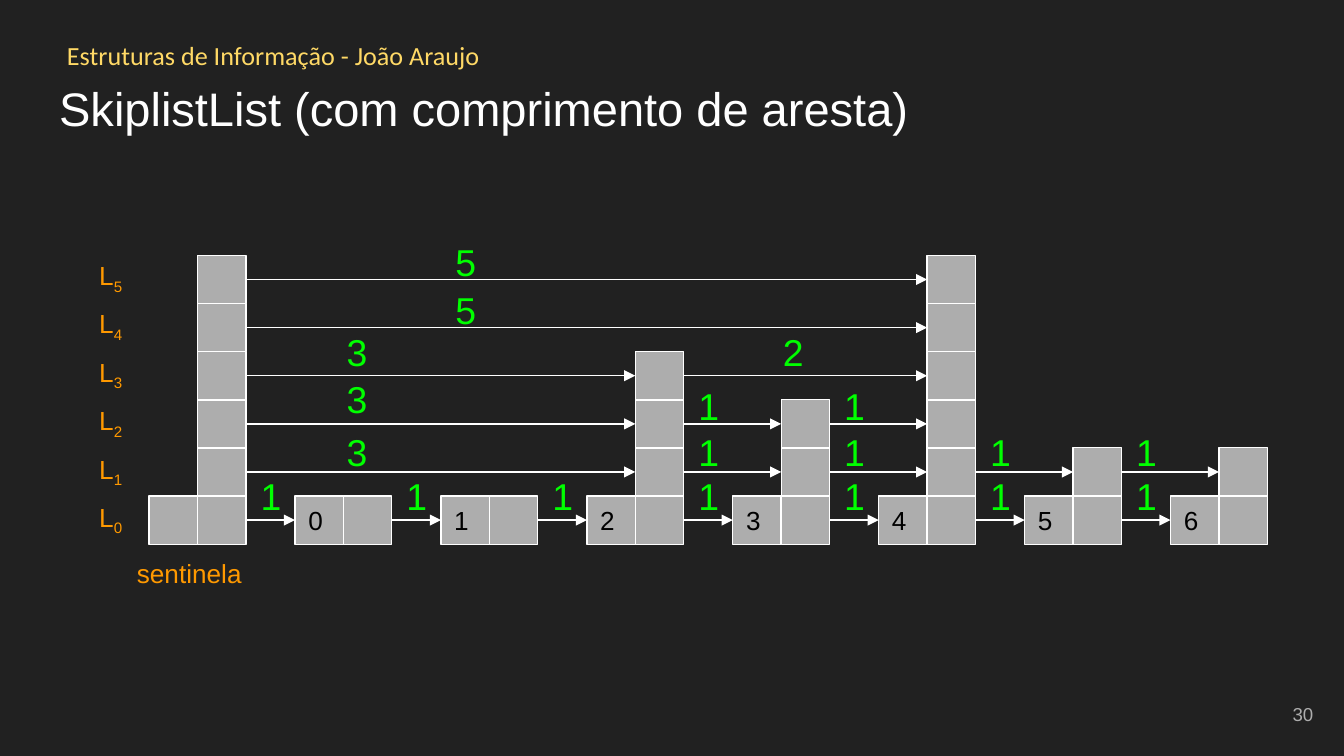
from lxml import etree
from pptx import Presentation
from pptx import util as u
from pptx.dml.color import RGBColor
from pptx.enum import shapes, text
from pptx.oxml.ns import qn

Inches = u.Inches


def rgb(code):
    return RGBColor.from_string(code)


def write(shape, runs, size, color, font="Arial", anchor="TOP", align="LEFT"):
    """Fill a shape with one paragraph; runs after the first are subscripts."""
    frame = shape.text_frame
    frame.word_wrap = True
    frame.auto_size = text.MSO_AUTO_SIZE.NONE
    frame.vertical_anchor = text.MSO_ANCHOR[anchor]
    frame.margin_left = frame.margin_right = Inches(0.1)
    frame.margin_top = frame.margin_bottom = Inches(0.1)
    para = frame.paragraphs[0]
    para.alignment = text.PP_ALIGN[align]
    for i, word in enumerate(runs):
        run = para.add_run()
        run.text = word
        run.font.size = u.Pt(size)
        run.font.name = font
        run.font.color.rgb = rgb(color)
        if i:
            run.font._element.set("baseline", "-25000")


deck = Presentation()
deck.slide_width, deck.slide_height = Inches(10), Inches(10 * 9 / 16)
slide = deck.slides.add_slide(deck.slide_layouts[5])
slide.background.fill.solid()
slide.background.fill.fore_color.rgb = rgb("212121")
items = slide.shapes

title = items.title
title.left, title.top = Inches(0.34), Inches(0.49)
title.width, title.height = Inches(9.32), Inches(0.63)
write(title, ["SkiplistList (com comprimento de aresta)"], 25.2, "FFFFFF")

header = items.add_textbox(Inches(0.4), Inches(0.19), Inches(8.17), Inches(0.44))
write(header, ["Estruturas de Informação - João Araujo"], 14, "FFD966", "Calibri")
number = items.add_textbox(Inches(9.27), Inches(5.1), Inches(0.6), Inches(0.43))
write(number, ["30"], 10, "ADADAD", anchor="MIDDLE", align="RIGHT")

# Towers: the sentinel, then nodes 0 to 6; each has a key cell and a stack of links
heights = [6, 1, 1, 4, 3, 6, 2, 2]
side = 0.36
left, gap = 1.47, 7.6 / 7
base, rise = 3.69, 1.79 / 5
keys, cells = [], {}
for node, height in enumerate(heights):
    x = left + node * gap
    spots = [(x - side, base)] + [(x, base - level * rise) for level in range(height)]
    stack = []
    for cx, cy in spots:
        cell = items.add_shape(shapes.MSO_SHAPE.RECTANGLE, Inches(cx), Inches(cy),
                               Inches(side), Inches(side))
        cell.shadow.inherit = False
        cell.fill.solid()
        cell.fill.fore_color.rgb = rgb("ADADAD")
        cell.line.color.rgb = rgb("FFFFFF")
        cell.line.width = u.Pt(0.75)
        stack.append(cell)
    keys.append(stack[0])
    if node:
        write(stack[0], [str(node - 1)], 14, "000000", anchor="MIDDLE")
    for level, cell in enumerate(stack[1:]):
        cells[node, level] = cell

# Links: on each level, every tower points to the next one that is tall enough
shift = {1: 0.01, 2: 0.64, 3: 0.65, 5: 1.46}
tops = [3.42, 3.09, 2.75, 2.35, 2.04, 1.68]
lift = {(2, 3): 0.05}  # by level and hop
for level, top in enumerate(tops):
    tall = [node for node, height in enumerate(heights) if height > level]
    for start, end in zip(tall, tall[1:]):
        goal = cells[end, level] if level else keys[end]
        link = items.add_connector(shapes.MSO_CONNECTOR.STRAIGHT, 0, 0, 0, 0)
        link.begin_connect(cells[start, level], 3)
        link.end_connect(goal, 1)
        link.line.color.rgb = rgb("FFFFFF")
        link.line.width = u.Pt(0.75)
        props = link._element.spPr
        etree.SubElement(props.find(qn("a:ln")), qn("a:tailEnd"), type="triangle")
        etree.SubElement(props, qn("a:effectLst"))

        hop = end - start
        x = left + start * gap + side + shift[hop]
        y = top - lift.get((level, hop), 0)
        length = items.add_textbox(Inches(x), Inches(y), Inches(0.52), Inches(0.54))
        write(length, [str(hop)], 20, "00FF00")

    name = items.add_textbox(Inches(0.64), Inches(3.63 - level * side),
                             Inches(0.46), Inches(0.44))
    write(name, ["L", str(level)], 14, "FF9900")

guard = items.add_textbox(Inches(0.92), Inches(4.05), Inches(1.14), Inches(0.44))
write(guard, ["sentinela"], 14, "FF9900")

deck.save("out.pptx")
